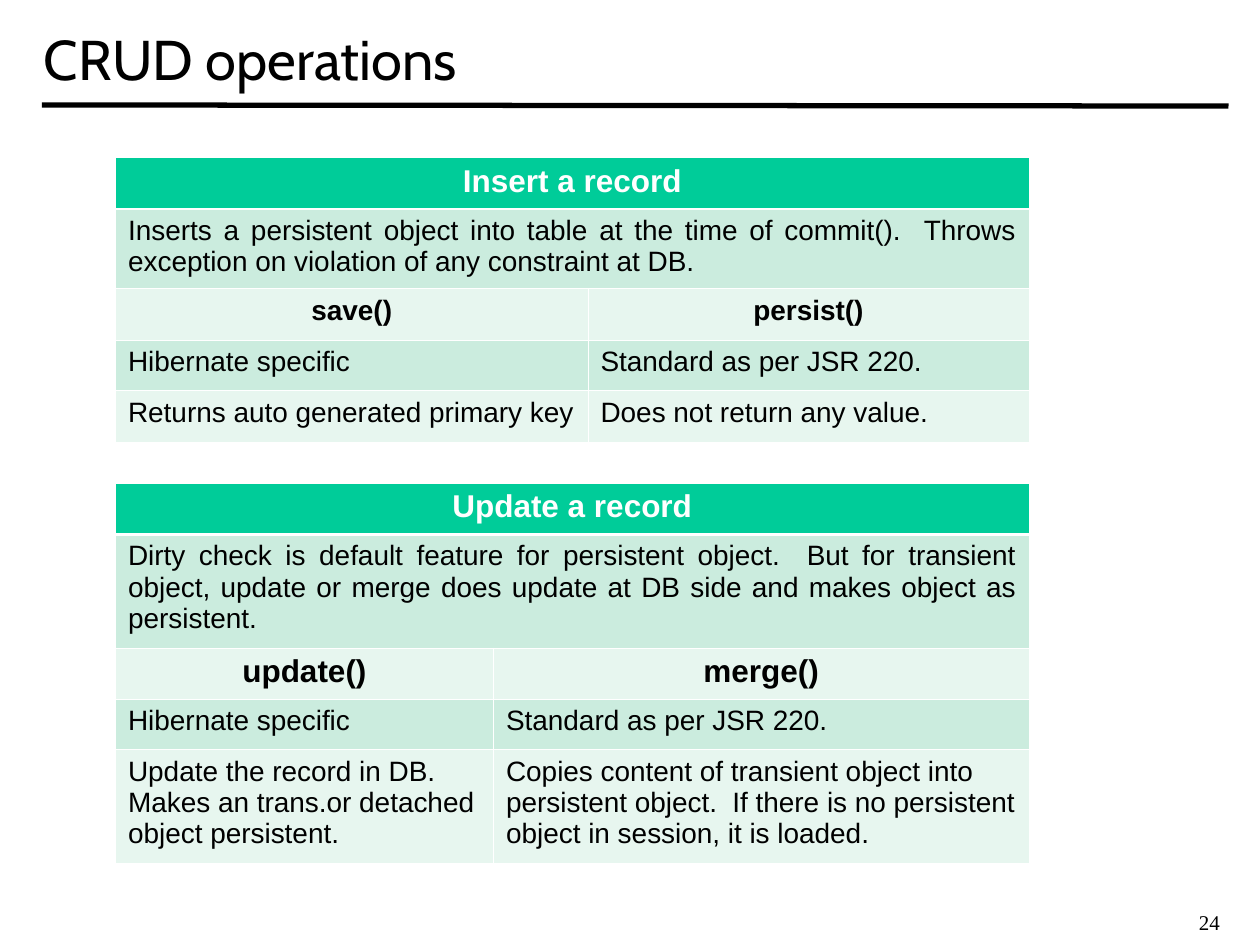
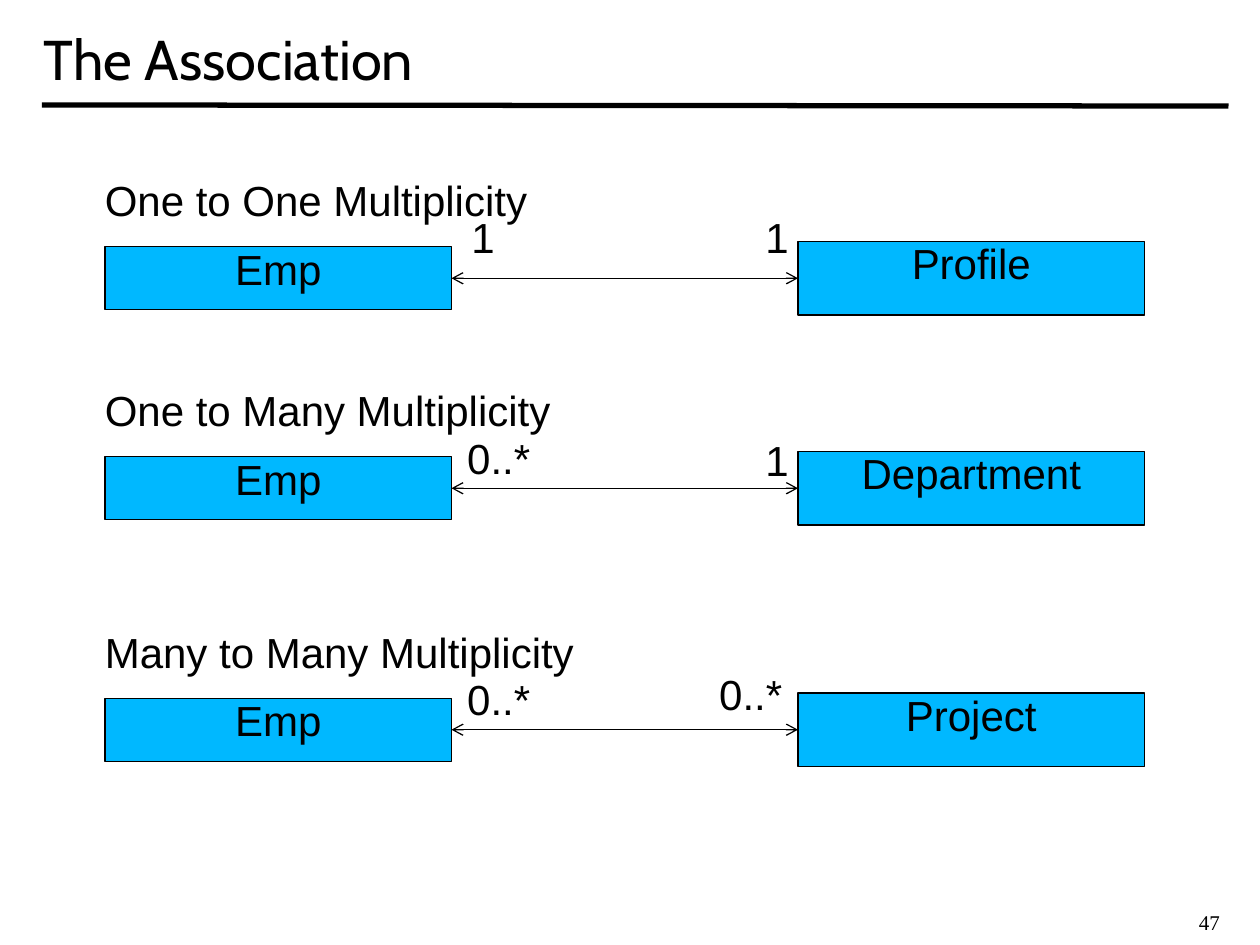
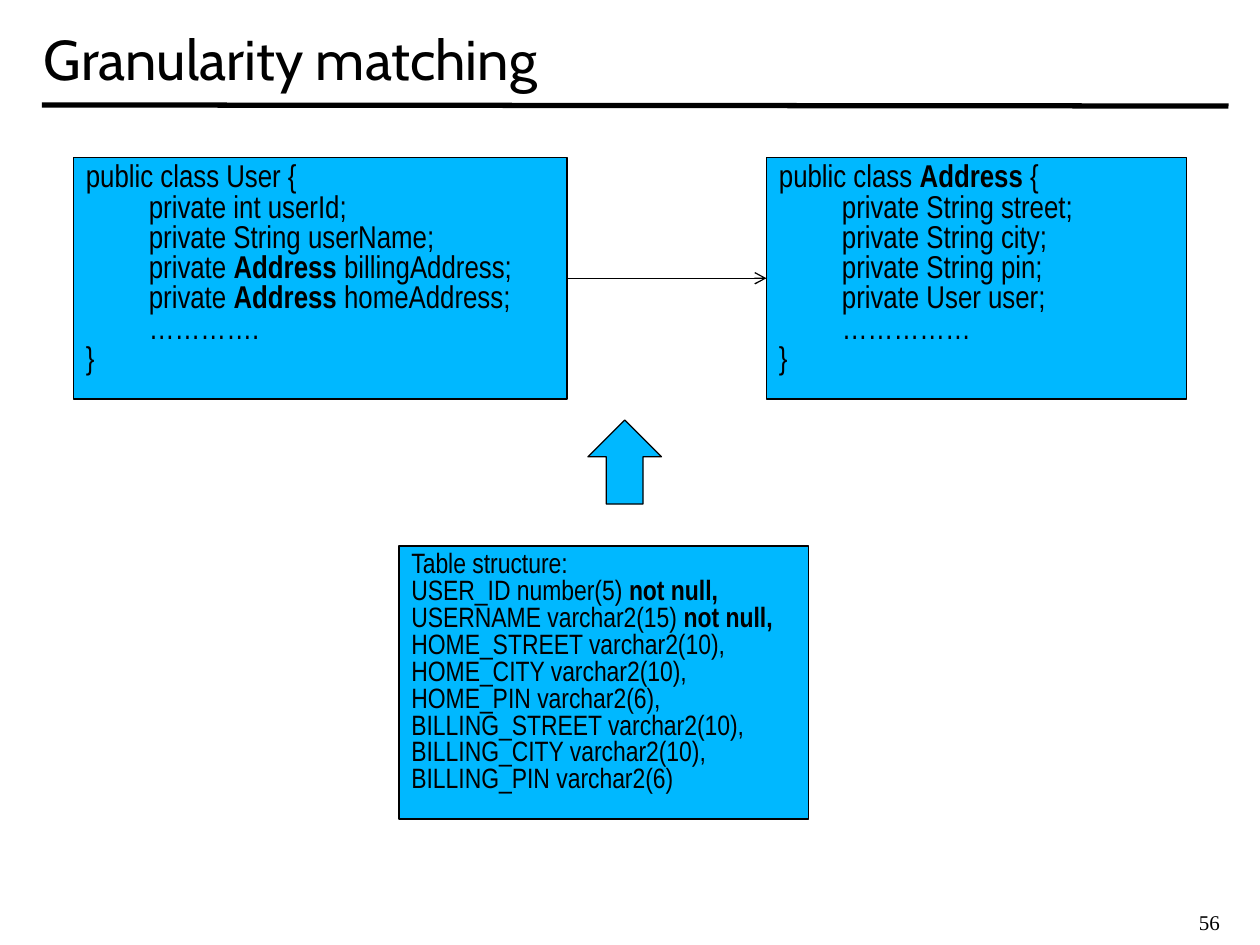
from lxml import etree
from pptx import Presentation
from pptx.dml.color import RGBColor
from pptx.enum.shapes import MSO_CONNECTOR, MSO_SHAPE
from pptx.enum.text import MSO_ANCHOR, PP_ALIGN
from pptx.oxml.ns import qn
from pptx.util import Inches, Pt

BLACK = RGBColor(0x00, 0x00, 0x00)
WHITE = RGBColor(0xFF, 0xFF, 0xFF)
SKY = RGBColor(0x00, 0xB8, 0xFF)
GREEN = RGBColor(0x00, 0xCC, 0x99)
MINT = RGBColor(0xCB, 0xEC, 0xDE)
PALE_MINT = RGBColor(0xE7, 0xF6, 0xEF)

LEFT, CENTER, JUSTIFY = PP_ALIGN.LEFT, PP_ALIGN.CENTER, PP_ALIGN.JUSTIFY
TOP, MIDDLE = MSO_ANCHOR.TOP, MSO_ANCHOR.MIDDLE
RECTANGLE, UP_ARROW = MSO_SHAPE.RECTANGLE, MSO_SHAPE.UP_ARROW
STRAIGHT = MSO_CONNECTOR.STRAIGHT
LEFT_SIDE, RIGHT_SIDE = 1, 3

BODY_FONT, CODE_FONT = "Arial", "Arial Narrow"
TITLE_FONT, NUMBER_FONT = "Cabin", "Times New Roman"
TIGHT = 0.8
CELLS_PER_INCH = 12
CODE_TAB = 6

INSERT_ROWS = [
    ("Insert a record",),
    ("Inserts a persistent object into table at the time of commit().  "
     "Throws exception on violation of any constraint at DB.",),
    ("save()", "persist()"),
    ("Hibernate specific", "Standard as per JSR 220."),
    ("Returns auto generated primary key", "Does not return any value."),
]
UPDATE_ROWS = [
    ("Update a record",),
    ("Dirty check is default feature for persistent object.  But for transient "
     "object, update or merge does update at DB side and makes object as persistent.",),
    ("update()", "merge()"),
    ("Hibernate specific", "Standard as per JSR 220."),
    ("Update the record in DB.  Makes an trans.or detached object persistent.",
     "Copies content of transient object into persistent object.  "
     "If there is no persistent object in session, it is loaded."),
]

USER_CLASS = [
    "public class User {",
    "\tprivate int userId;",
    "\tprivate String userName;",
    "\tprivate **Address** billingAddress;",
    "\tprivate **Address** homeAddress;",
    "\t………….",
    "}",
]
ADDRESS_CLASS = [
    "public class **Address** {",
    "\tprivate String street;",
    "\tprivate String city;",
    "\tprivate String pin;",
    "\tprivate User user;",
    "\t……………",
    "}",
]
USER_TABLE = [
    "Table structure:",
    "USER_ID number(5) **not null,**",
    "USERNAME varchar2(15) **not null,**",
    "HOME_STREET varchar2(10),",
    "HOME_CITY varchar2(10),",
    "HOME_PIN varchar2(6),",
    "BILLING_STREET varchar2(10),",
    "BILLING_CITY varchar2(10),",
    "BILLING_PIN varchar2(6)",
]


def grid(*cells):
    return [Inches(cell / CELLS_PER_INCH) for cell in cells]


def write(frame, lines, size, font=BODY_FONT, align=LEFT, spacing=None,
          color=BLACK, bold=False):
    frame.word_wrap = True
    for index, line in enumerate(lines):
        paragraph = frame.paragraphs[0] if index == 0 else frame.add_paragraph()
        paragraph.alignment = align
        if spacing:
            paragraph.line_spacing = spacing
        if line.startswith("\t"):
            tabs = etree.SubElement(paragraph._p.get_or_add_pPr(), qn("a:tabLst"))
            etree.SubElement(tabs, qn("a:tab"), pos=str(grid(CODE_TAB)[0]), algn="l")
        for part, text in enumerate(line.split("**")):
            if text:
                run = paragraph.add_run()
                run.text = text
                run.font.name = font
                run.font.size = Pt(size)
                run.font.bold = bold or part % 2 == 1
                run.font.color.rgb = color


def add_label(slide, place, text, size, anchor=TOP, **style):
    frame = slide.shapes.add_textbox(*grid(*place)).text_frame
    frame.vertical_anchor = anchor
    write(frame, [text], size, **style)


def add_block(slide, place, lines=(), size=24, kind=RECTANGLE, **style):
    block = slide.shapes.add_shape(kind, *grid(*place))
    block.shadow.inherit = False
    block.fill.solid()
    block.fill.fore_color.rgb = SKY
    block.line.color.rgb = BLACK
    block.line.width = Pt(0.75)
    block.text_frame.vertical_anchor = TOP
    write(block.text_frame, lines, size, spacing=TIGHT, **style)
    return block


def add_line(slide, ends, width):
    line = slide.shapes.add_connector(STRAIGHT, *ends)
    line.line.color.rgb = BLACK
    line.line.width = Pt(width)
    etree.SubElement(line._element.spPr, qn("a:effectLst"))
    return line


def link(source, target, slide, arrowheads):
    arrow = add_line(slide, (0, 0, 0, 0), 0.75)
    arrow.begin_connect(source, RIGHT_SIDE)
    arrow.end_connect(target, LEFT_SIDE)
    outline = arrow.line._get_or_add_ln()
    for end in arrowheads:
        etree.SubElement(outline, qn(f"a:{end}"), type="arrow")


def style_cell(cell, fill, top, bottom):
    properties = cell._tc.get_or_add_tcPr()
    for side, width in (("lnL", 0.45), ("lnR", 0.45), ("lnT", top), ("lnB", bottom)):
        border = etree.SubElement(properties, qn(f"a:{side}"), w=str(Pt(width)))
        solid = etree.SubElement(border, qn("a:solidFill"))
        etree.SubElement(solid, qn("a:srgbClr"), val=str(WHITE))
    cell.fill.solid()
    cell.fill.fore_color.rgb = fill


def add_operation_table(slide, top, columns, heights, rows, method_size):
    place = grid(11, top, sum(columns), sum(heights))
    table = slide.shapes.add_table(len(rows), len(columns), *place).table
    for column, width in zip(table.columns, grid(*columns)):
        column.width = width
    for row, height in zip(table.rows, grid(*heights)):
        row.height = height
    looks = [
        dict(size=18, align=CENTER, color=WHITE, bold=True),
        dict(size=16, align=JUSTIFY),
        dict(size=method_size, align=CENTER, bold=True),
    ] + [dict(size=16)] * 2
    fills = [GREEN, MINT, PALE_MINT, MINT, PALE_MINT]
    for index, (texts, look, fill) in enumerate(zip(rows, looks, fills)):
        cells = [table.cell(index, column) for column in range(len(columns))]
        for cell in cells:
            style_cell(cell, fill, 1.47 if index == 1 else 0.45,
                       1.47 if index == 0 else 0.45)
        if len(texts) == 1:
            cells[0].merge(cells[-1])
        for cell, text in zip(cells, texts):
            write(cell.text_frame, [text], **look)


def add_association(slide, top, heading, partner, emp_count, partner_count):
    tight = dict(size=24, spacing=TIGHT)
    emp_box = add_block(slide, (10, top + 6.5, 33, 6), ["Emp"], align=CENTER)
    partner_box = add_block(slide, (76, top + 6, 33, 7), [partner], align=CENTER)
    link(emp_box, partner_box, slide, ("headEnd", "tailEnd"))
    for text, left, drop, width in (emp_count, partner_count):
        add_label(slide, (left, top + drop, width, 5), text, align=CENTER, **tight)
    add_label(slide, (8.8, top, 49, 5), heading, **tight)


def start_slide(deck, title, number):
    slide = deck.slides.add_slide(deck.slide_layouts[6])
    add_line(slide, grid(4, 10, 117, 10.1), 3)
    add_label(slide, (113, 86, 6.5, 3.6), number, 12, font=NUMBER_FONT)
    add_label(slide, (3, 0, 114, 11), title, 32, anchor=MIDDLE, font=TITLE_FONT)
    return slide


def main():
    deck = Presentation()
    deck.slide_width, deck.slide_height = grid(120, 90)

    crud = start_slide(deck, "CRUD operations", "24")
    add_operation_table(crud, 15, (45, 42), (4.9, 7.6, 4.9, 4.8, 4.9), INSERT_ROWS, 16)
    add_operation_table(crud, 46, (36, 51), (4.9, 10.8, 4.9, 4.8, 10.8), UPDATE_ROWS, 18)

    association = start_slide(deck, "The Association", "47")
    add_association(association, 17, "One to One Multiplicity", "Profile",
                    ("1", 42, 3.5, 8), ("1", 70, 3.5, 8))
    add_association(association, 37, "One to Many Multiplicity", "Department",
                    ("0..*", 42, 4.5, 11), ("1", 70, 4.75, 8))
    add_association(association, 60, "Many to Many Multiplicity", "Project",
                    ("0..*", 42, 4.5, 11), ("0..*", 66, 4, 11))

    matching = start_slide(deck, "Granularity matching", "56")
    user = add_block(matching, (7, 15, 47, 23), USER_CLASS, 18, font=CODE_FONT)
    address = add_block(matching, (73, 15, 40, 23), ADDRESS_CLASS, 18, font=CODE_FONT)
    add_block(matching, (38, 52, 39, 26), USER_TABLE, 16, font=CODE_FONT)
    add_block(matching, (56, 40, 7, 8), kind=UP_ARROW)
    link(user, address, matching, ("tailEnd",))

    deck.save("out.pptx")


if __name__ == "__main__":
    main()
